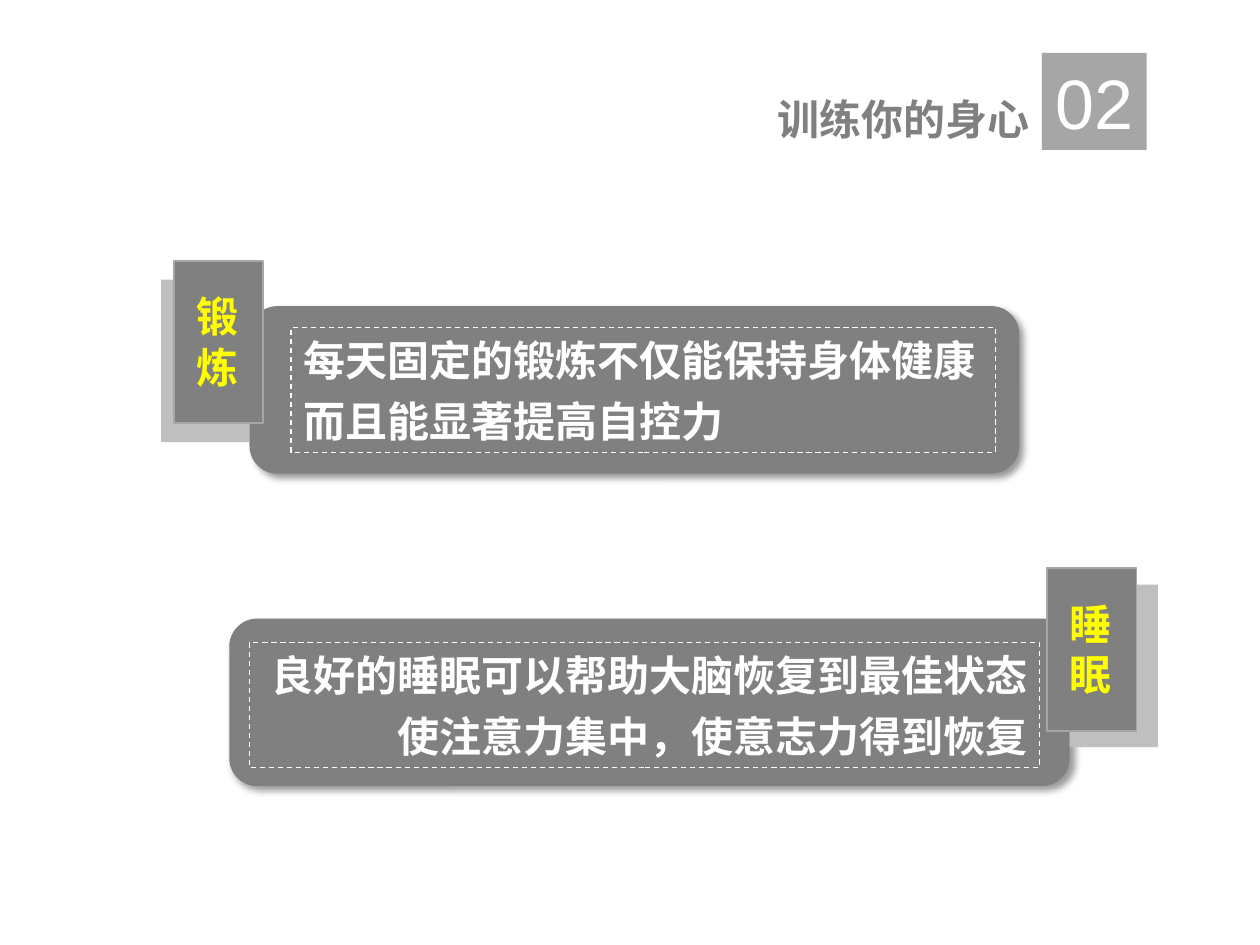
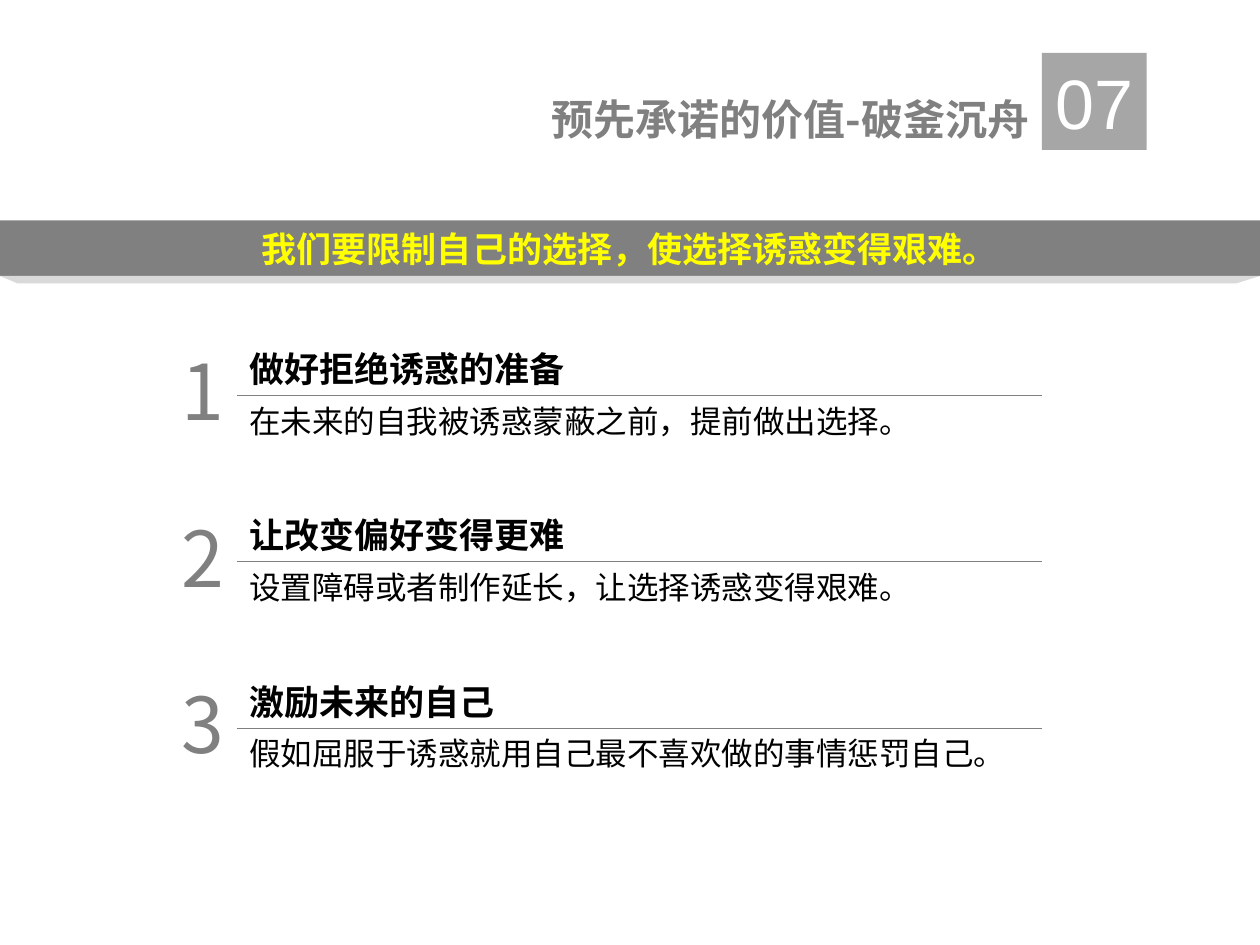
from dataclasses import dataclass

from lxml import etree
from pptx import Presentation
from pptx.dml.color import RGBColor
from pptx.enum.dml import MSO_LINE
from pptx.enum.shapes import MSO_CONNECTOR, MSO_SHAPE
from pptx.enum.text import MSO_ANCHOR, MSO_AUTO_SIZE, PP_ALIGN
from pptx.oxml.ns import qn
from pptx.util import Inches, Pt

RECTANGLE, ROUNDED = MSO_SHAPE.RECTANGLE, MSO_SHAPE.ROUNDED_RECTANGLE
LEFT, CENTER, RIGHT = PP_ALIGN.LEFT, PP_ALIGN.CENTER, PP_ALIGN.RIGHT
TOP, MIDDLE = MSO_ANCHOR.TOP, MSO_ANCHOR.MIDDLE
STRAIGHT = MSO_CONNECTOR.STRAIGHT
DASH = MSO_LINE.DASH


@dataclass(frozen=True)
class Theme:
    gray: str = "808080"
    badge: str = "A6A6A6"
    shade: str = "BFBFBF"
    fold: str = "D9D9D9"
    white: str = "FFFFFF"
    black: str = "000000"
    accent: str = "FFFF00"
    latin: str = "Arial"
    chinese: str = "Noto Sans CJK SC"
    digits: str = "Noto Sans CJK JP"
    title_size: int = 24
    badge_size: int = 40
    number_size: int = 44
    heading_size: int = 20
    body_size: int = 18


theme = Theme()
# The slide is a grid of 100 columns by 75 rows
COLUMNS, ROWS = 100, 75
CELL = Inches(10) // COLUMNS


def add_box(slide, area, kind=None, fill=None, line=None, line_width=1):
    """Add a preset shape, or a text box when no kind is given."""
    left, top, width, height = [round(value * CELL) for value in area]
    if kind is None:
        return slide.shapes.add_textbox(left, top, width, height)
    shape = slide.shapes.add_shape(kind, left, top, width, height)
    shape.shadow.inherit = False
    if fill:
        shape.fill.solid()
        shape.fill.fore_color.rgb = RGBColor.from_string(fill)
    else:
        shape.fill.background()
    if line:
        shape.line.color.rgb = RGBColor.from_string(line)
        shape.line.width = Pt(line_width)
    else:
        shape.line.fill.background()
    return shape


def write(shape, lines, size, color, bold=False, latin=theme.latin,
          align=LEFT, anchor=TOP, wrap=True):
    """Fill a shape with paragraphs of one style, 6 points apart."""
    frame = shape.text_frame
    frame.text = "\n".join(lines)
    frame.word_wrap = wrap
    frame.auto_size = MSO_AUTO_SIZE.NONE
    frame.vertical_anchor = anchor
    for paragraph in frame.paragraphs:
        paragraph.alignment = align
        font = paragraph.font
        font.size, font.bold, font.name = Pt(size), bold, latin
        font.color.rgb = RGBColor.from_string(color)
        etree.SubElement(font._element, qn("a:ea"), typeface=theme.chinese)
    for paragraph in frame.paragraphs[:-1]:
        paragraph.space_after = Pt(6)


presentation = Presentation()
presentation.slide_width = COLUMNS * CELL
presentation.slide_height = ROWS * CELL
title_only = presentation.slide_layouts[5]

# Title and number badge of both slides
slides = []
for number, title_text in [("02", "训练你的身心"), ("07", "预先承诺的价值-破釜沉舟")]:
    slide = presentation.slides.add_slide(title_only)
    title = slide.shapes.title
    title.left, title.top, title.width, title.height = [
        round(value * CELL) for value in (25.1, 6.9, 57.6, 5)]
    write(title, [title_text], theme.title_size, theme.gray, True,
          theme.chinese, RIGHT, TOP)
    badge = add_box(slide, (82.7, 4.2, 8.3, 7.7), RECTANGLE, theme.badge)
    write(badge, [number], theme.badge_size, theme.white, align=CENTER,
          anchor=MIDDLE, wrap=False)
    slides.append(slide)
training, commitment = slides

# Training: panels with a tag; columns as (left, width), rows by panel top
panels = [
    dict(label="睡眠", lines=["良好的睡眠可以帮助大脑恢复到最佳状态",
                            "使注意力集中，使意志力得到恢复"],
         align=RIGHT, panel=(18.2, 49.1, 66.7), frame=(19.8, 51, 62.7),
         tag=(83.1, 45.1), shade=(84.9, 46.4)),
    dict(label="锻炼", lines=["每天固定的锻炼不仅能保持身体健康",
                            "而且能显著提高自控力"],
         align=LEFT, panel=(19.8, 24.3, 61.1), frame=(23.1, 26, 55.9),
         tag=(13.8, 20.7), shade=(12.8, 22.2)),
]
for item in panels:
    panel = add_box(training, (*item["panel"], 13.3), ROUNDED, theme.gray)
    effects = panel._element.spPr.find(qn("a:effectLst"))
    shadow = etree.SubElement(
        effects, qn("a:outerShdw"), blurRad=str(Pt(4)), dist=str(Pt(3)),
        dir=str(45 * 60000), algn="tl", rotWithShape="0")
    shadow_color = etree.SubElement(shadow, qn("a:srgbClr"), val=theme.black)
    etree.SubElement(shadow_color, qn("a:alpha"), val="40000")

    add_box(training, (*item["shade"], 7, 12.9), RECTANGLE, theme.shade)
    tag_left, tag_top = item["tag"]
    add_box(training, (tag_left, tag_top, 7.1, 12.9), RECTANGLE,
            theme.gray, theme.badge)
    label = add_box(training, (tag_left + 0.8, tag_top + 1.9, 6.5, 9.1))
    write(label, [item["label"]], theme.title_size, theme.accent, True,
          theme.chinese)

    frame = add_box(training, (*item["frame"], 9.9), RECTANGLE,
                    line=theme.white, line_width=0.75)
    frame.line.dash_style = DASH
    write(frame, item["lines"], theme.title_size, theme.white, True,
          align=item["align"], anchor=MIDDLE)

# Commitment: numbered steps at an equal pitch
steps = [
    ("做好拒绝诱惑的准备", "在未来的自我被诱惑蒙蔽之前，提前做出选择。"),
    ("让改变偏好变得更难", "设置障碍或者制作延长，让选择诱惑变得艰难。"),
    ("激励未来的自己", "假如屈服于诱惑就用自己最不喜欢做的事情惩罚自己。"),
]
STEP_LEFT, STEP_RIGHT, FIRST_RULE, PITCH = 18.8, 82.7, 31.4, 13.2
for index, (heading_text, body_text) in enumerate(steps):
    rule_top = FIRST_RULE + index * PITCH
    heading = add_box(commitment, (STEP_LEFT, rule_top - 4.3, 27.3, 4.4))
    write(heading, [heading_text], theme.heading_size, theme.black, True)
    rule = commitment.shapes.add_connector(
        STRAIGHT, *[round(value * CELL) for value in
                    (STEP_LEFT, rule_top, STEP_RIGHT, rule_top)])
    rule.line.color.rgb = RGBColor.from_string(theme.gray)
    rule.line.width = Pt(0.5)
    etree.SubElement(rule._element.spPr, qn("a:effectLst"))
    body = add_box(commitment, (STEP_LEFT, rule_top, STEP_RIGHT - STEP_LEFT, 4))
    write(body, [body_text], theme.body_size, theme.black)
    numeral = add_box(commitment, (13.4, rule_top - 4.6, 6, 8.4))
    write(numeral, [str(index + 1)], theme.number_size, theme.gray,
          latin=theme.digits, wrap=False)

# Commitment: full-width band with a folded lower edge
BAND_TOP, BAND_HEIGHT = 17.5, 4.4
band = add_box(commitment, (0, BAND_TOP, COLUMNS, BAND_HEIGHT), RECTANGLE,
               theme.gray)
write(band, ["我们要限制自己的选择，使选择诱惑变得艰难。"], theme.heading_size,
      theme.accent, True, theme.chinese, CENTER, MIDDLE)
fold_top = BAND_TOP + BAND_HEIGHT
fold_points = [(round(x * CELL), round(y * CELL)) for x, y in [
    (0, fold_top), (COLUMNS, fold_top),
    (98.1, fold_top + 0.6), (1.4, fold_top + 0.6)]]
builder = commitment.shapes.build_freeform(*fold_points[0])
builder.add_line_segments(fold_points[1:], close=True)
fold = builder.convert_to_shape()
fold.shadow.inherit = False
fold.fill.solid()
fold.fill.fore_color.rgb = RGBColor.from_string(theme.fold)
fold.line.fill.background()

presentation.save("out.pptx")
